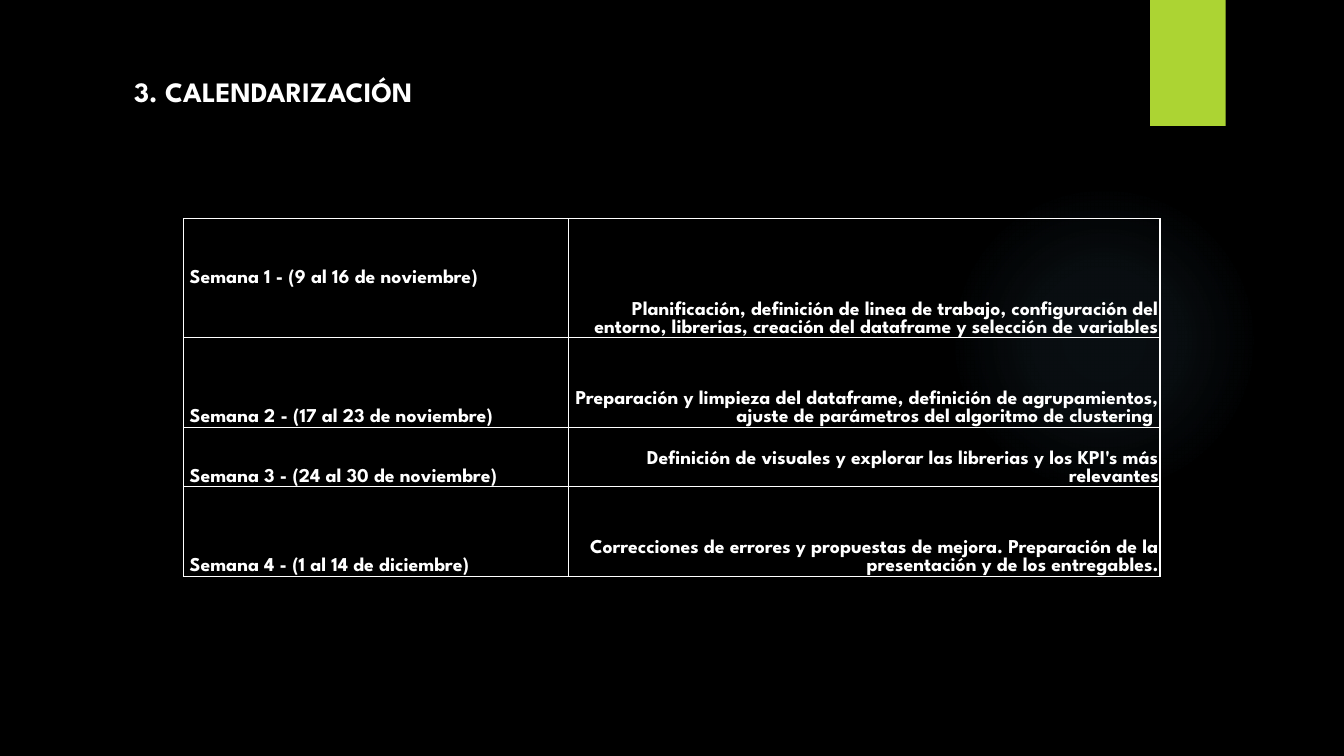
import pptx
import pptx.dml.color
import pptx.enum.shapes
import pptx.enum.text
import pptx.oxml
import pptx.oxml.ns
import pptx.util

Pt = pptx.util.Pt
Shape = pptx.enum.shapes.MSO_SHAPE
Align = pptx.enum.text.PP_ALIGN
Anchor = pptx.enum.text.MSO_ANCHOR

FONT = "League Spartan"
COLORS = {"background": "000000", "text": "FFFFFF", "accent": "ACD433", "glow": "7AC4F0"}
COLUMN_WIDTHS = (275, 422.6)
ROW_HEIGHTS = (85, 64, 42.5, 64)
WEEKS = (
    (" Semana 1 - (9 al 16 de noviembre)",
     "Planificación, definición de linea de trabajo, configuración del entorno, "
     "librerias, creación del dataframe y selección de variables"),
    (" Semana 2 - (17 al 23 de noviembre)",
     "Preparación y limpieza del dataframe, definición de agrupamientos, "
     "ajuste de parámetros del algoritmo de clustering "),
    (" Semana 3 - (24 al 30 de noviembre)",
     "Definición de visuales y explorar las librerias y los KPI's más relevantes"),
    (" Semana 4 - (1 al 14 de diciembre)",
     "Correcciones de errores y propuestas de mejora. "
     "Preparación de la presentación y de los entregables."),
)


def rgb(name):
    return pptx.dml.color.RGBColor.from_string(COLORS[name])


def write(paragraph, text, size, align):
    paragraph.alignment = align
    run = paragraph.add_run()
    run.text = text
    run.font.name = FONT
    run.font.size = Pt(size)
    run.font.bold = True
    run.font.color.rgb = rgb("text")


def add_plain_shape(slide, kind, left, top, width, height, color):
    shape = slide.shapes.add_shape(kind, Pt(left), Pt(top), Pt(width), Pt(height))
    shape.shadow.inherit = False
    shape.fill.solid()
    shape.fill.fore_color.rgb = rgb(color)
    shape.line.fill.background()
    return shape


def add_glow(slide):
    glow = add_plain_shape(slide, Shape.OVAL, 677.5, 131.8, 221.8, 221.8, "glow")
    stops = "".join(
        f'<a:gs pos="{position * 1000}"><a:srgbClr val="{COLORS["glow"]}">'
        f'<a:alpha val="{opacity * 1000}"/></a:srgbClr></a:gs>'
        for position, opacity in ((0, 7), (36, 6), (69, 0), (100, 0))
    )
    gradient = pptx.oxml.parse_xml(
        f'<a:gradFill {pptx.oxml.ns.nsdecls("a")}><a:gsLst>{stops}</a:gsLst>'
        '<a:path path="circle"><a:fillToRect l="50000" t="50000" r="50000" b="50000"/>'
        '</a:path></a:gradFill>'
    )
    properties = glow.element.spPr
    properties.replace(properties.find(pptx.oxml.ns.qn("a:solidFill")), gradient)


def place_title(slide, text):
    title = slide.shapes.title
    title.left, title.top, title.width, title.height = Pt(88.6), Pt(49.7), Pt(226.8), Pt(31.7)
    frame = title.text_frame
    frame.word_wrap = False
    frame.auto_size = pptx.enum.text.MSO_AUTO_SIZE.SHAPE_TO_FIT_TEXT
    frame.vertical_anchor = Anchor.TOP
    write(frame.paragraphs[0], text, 20, Align.LEFT)


def add_borders(cell):
    properties = cell._tc.get_or_add_tcPr()
    for side in ("lnL", "lnR", "lnT", "lnB"):
        properties.append(pptx.oxml.parse_xml(
            f'<a:{side} {pptx.oxml.ns.nsdecls("a")} w="{Pt(1)}"><a:solidFill>'
            f'<a:srgbClr val="{COLORS["text"]}"/></a:solidFill></a:{side}>'
        ))


def fill_cell(cell, text, align, anchor):
    add_borders(cell)
    cell.fill.background()
    cell.margin_left = cell.margin_right = cell.margin_top = Pt(0.75)
    cell.margin_bottom = 0
    cell.vertical_anchor = anchor
    write(cell.text_frame.paragraphs[0], text, 14, align)


def add_schedule(slide):
    schedule = slide.shapes.add_table(
        len(WEEKS), len(COLUMN_WIDTHS), Pt(131), Pt(156.2),
        Pt(sum(COLUMN_WIDTHS)), Pt(sum(ROW_HEIGHTS)),
    ).table
    schedule.first_row = schedule.horz_banding = False
    for column, width in zip(schedule.columns, COLUMN_WIDTHS):
        column.width = Pt(width)
    for index, (week, tasks) in enumerate(WEEKS):
        schedule.rows[index].height = Pt(ROW_HEIGHTS[index])
        week_anchor = Anchor.MIDDLE if index == 0 else Anchor.BOTTOM
        fill_cell(schedule.cell(index, 0), week, Align.LEFT, week_anchor)
        fill_cell(schedule.cell(index, 1), tasks, Align.RIGHT, Anchor.BOTTOM)


def main():
    deck = pptx.Presentation()
    deck.slide_width, deck.slide_height = Pt(960), Pt(540)
    slide = deck.slides.add_slide(deck.slide_layouts.get_by_name("Title Only"))
    slide.background.fill.solid()
    slide.background.fill.fore_color.rgb = rgb("background")
    add_glow(slide)
    add_plain_shape(slide, Shape.RECTANGLE, 821.5, 0, 54, 90, "accent")
    place_title(slide, "3. CALENDARIZACIÓN")
    add_schedule(slide)
    deck.save("out.pptx")


if __name__ == "__main__":
    main()
